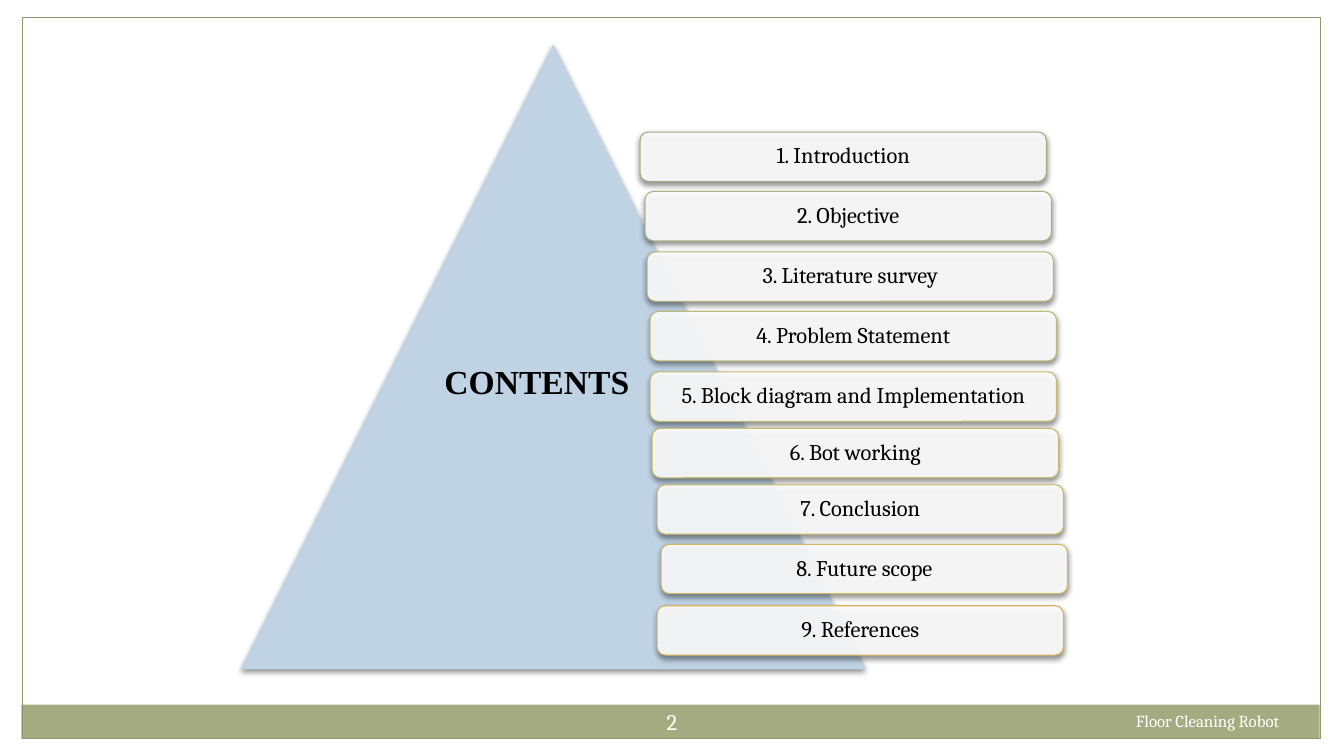
from lxml import etree
from pptx import Presentation
from pptx import util as u
from pptx.dml.color import RGBColor
from pptx.enum import shapes, text
from pptx.oxml import ns

WIDTH, HEIGHT = u.Inches(13.333), u.Inches(7.5)
WHITE = RGBColor(0xFF, 0xFF, 0xFF)
BLACK = RGBColor(0, 0, 0)
SAGE = RGBColor(0xA5, 0xAB, 0x81)
BORDER = RGBColor(0x92, 0x97, 0x72)
PALE_BLUE = RGBColor(0xBF, 0xD3, 0xE4)

CARD_SIZE = (30.23, 6.53)
# Topic, left and top in percent of the slide, outline colour
TOPICS = [
    ("Introduction", 47.63, 17.47, SAGE),
    ("Objective", 48, 25.33, RGBColor(0xAC, 0xB1, 0x7C)),
    ("Literature survey", 48.15, 33.33, RGBColor(0xB5, 0xB7, 0x77)),
    ("Problem Statement", 48.38, 41.2, RGBColor(0xBC, 0xBA, 0x73)),
    ("Block diagram and Implementation", 48.38, 49.2, RGBColor(0xC2, 0xBB, 0x6E)),
    ("Bot working", 48.53, 56.67, RGBColor(0xC8, 0xBB, 0x69)),
    ("Conclusion", 48.9, 64.13, RGBColor(0xCD, 0xB9, 0x65)),
    ("Future scope", 49.2, 72, RGBColor(0xD3, 0xB6, 0x60)),
    ("References", 48.9, 80.13, RGBColor(0xD8, 0xB2, 0x5C)),
]


def area(left, top, width, height):
    """Turn percentages of the slide into lengths."""
    return (int(WIDTH * left / 100), int(HEIGHT * top / 100),
            int(WIDTH * width / 100), int(HEIGHT * height / 100))


def add_child(parent, tag, **attributes):
    return etree.SubElement(parent, ns.qn(tag), attributes)


def add_shadow(shape):
    effects = shape._element.spPr.find(ns.qn("a:effectLst"))
    shadow = add_child(effects, "a:outerShdw", blurRad=str(u.Pt(4)),
                       dist=str(u.Pt(2)), dir="5400000", rotWithShape="0")
    color = add_child(shadow, "a:srgbClr", val=str(BLACK))
    add_child(color, "a:alpha", val="45000")


def add_shape(slide, kind, box, fill=None, line=None, opacity=100, shadow=False):
    shape = slide.shapes.add_shape(kind, *area(*box))
    shape.shadow.inherit = False
    if fill is None:
        shape.fill.background()
    else:
        shape.fill.solid()
        shape.fill.fore_color.rgb = fill
        if opacity < 100:
            color = shape._element.spPr.find(ns.qn("a:solidFill"))[0]
            add_child(color, "a:alpha", val=str(opacity * 1000))
    if line is None:
        shape.line.fill.background()
    else:
        shape.line.color.rgb = line
        shape.line.width = u.Pt(0.75)
    if shadow:
        add_shadow(shape)
    return shape


def write(shape, words, size=16, font="Cambria", color=BLACK, bold=False,
          align=text.PP_ALIGN.LEFT, anchor=text.MSO_ANCHOR.TOP,
          inset=None, spacing=1.0):
    frame = shape.text_frame
    frame.word_wrap = True
    frame.vertical_anchor = anchor
    if inset is not None:
        frame.margin_left = frame.margin_right = u.Inches(inset)
        frame.margin_top = frame.margin_bottom = u.Inches(inset)
    paragraph = frame.paragraphs[0]
    paragraph.alignment = align
    paragraph.line_spacing = spacing
    run = paragraph.add_run()
    run.text = words
    run.font.size = u.Pt(size)
    run.font.name = font
    run.font.bold = bold
    run.font.color.rgb = color


def add_text(slide, box, words, **style):
    write(slide.shapes.add_textbox(*area(*box)), words, **style)


def add_card(slide, number, topic, left, top, outline):
    card = add_shape(slide, shapes.MSO_SHAPE.ROUNDED_RECTANGLE,
                     (left, top, *CARD_SIZE), WHITE, outline,
                     opacity=90, shadow=True)
    write(card, f"{number}. {topic}", align=text.PP_ALIGN.CENTER,
          anchor=text.MSO_ANCHOR.MIDDLE, inset=0.07, spacing=0.9)


def main():
    presentation = Presentation()
    presentation.slide_width, presentation.slide_height = WIDTH, HEIGHT
    slide = presentation.slides.add_slide(presentation.slide_layouts[6])

    # Footer band and page border
    add_shape(slide, shapes.MSO_SHAPE.RECTANGLE, (1.6, 93.2, 96.6, 4.53), SAGE)
    add_shape(slide, shapes.MSO_SHAPE.RECTANGLE, (1.65, 2.27, 96.6, 95.47),
              line=BORDER)

    # Triangle with the topic cards
    add_shape(slide, shapes.MSO_SHAPE.ISOSCELES_TRIANGLE,
              (17.93, 5.87, 46.5, 82.67), PALE_BLUE, shadow=True)
    for number, topic in enumerate(TOPICS, start=1):
        add_card(slide, number, *topic)

    # Title
    add_text(slide, (32.33, 47.07, 17.55, 6.67), "CONTENTS",
             size=24, font="Times New Roman", bold=True)

    # Footer text
    add_text(slide, (46.65, 92.27, 6.68, 6.4), "2", color=WHITE, inset=0.05,
             align=text.PP_ALIGN.CENTER, anchor=text.MSO_ANCHOR.MIDDLE)
    add_text(slide, (83.78, 93.33, 14.1, 5.33), "Floor Cleaning Robot",
             size=12, color=WHITE)

    presentation.save("out.pptx")


if __name__ == "__main__":
    main()
